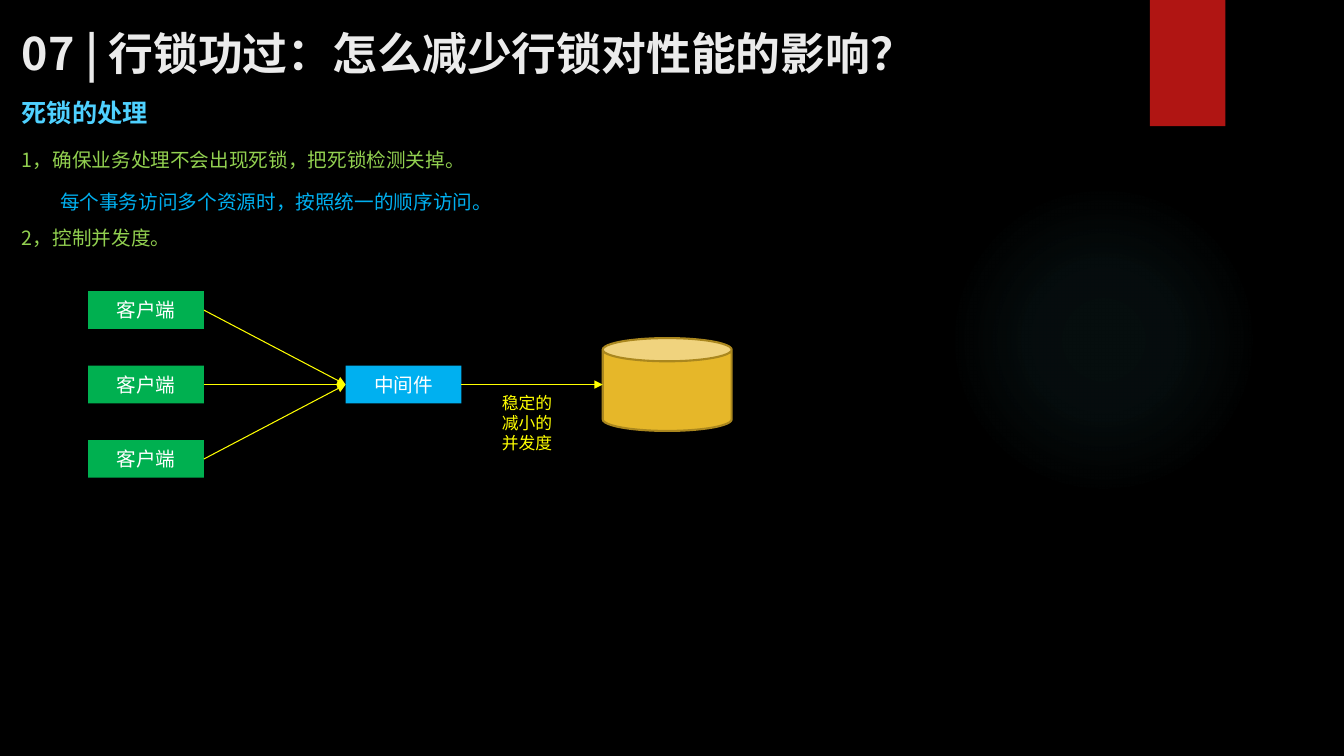
from lxml import etree
from pptx import Presentation
from pptx.dml.color import RGBColor
from pptx.enum import shapes, text
from pptx.oxml import ns, parse_xml
from pptx.util import Cm, Pt

FONT = "Noto Sans CJK SC"
COLORS = {
    "background": "000000", "glow": "50B9C1", "banner": "B01513",
    "title": "EBEBEB", "heading": "4FD1FF", "point": "92D050",
    "detail": "00B0F0", "client": "00B050", "middleware": "00B0F0",
    "database": "E6B729", "database_edge": "AA871E",
    "flow": "FFFF00", "white": "FFFFFF",
}


def rgb(name):
    return RGBColor.from_string(COLORS[name])


def place(box):
    return [Cm(v) for v in box]


def write(p, words, size, color, bold=False, leading=1.2):
    p.line_spacing = Pt(round(size * leading, 1))
    r = p.add_run()
    r.text = words
    r.font.size = Pt(size)
    r.font.name = FONT
    r.font.bold = bold
    r.font.color.rgb = rgb(color)
    ea = etree.SubElement(r.font._element, ns.qn("a:ea"))
    ea.set("typeface", FONT)


def add_block(s, kind, box, fill, words=None):
    sp = s.shapes.add_shape(kind, *place(box))
    sp.shadow.inherit = False
    sp.fill.solid()
    sp.fill.fore_color.rgb = rgb(fill)
    sp.line.fill.background()
    if words:
        tf = sp.text_frame
        tf.vertical_anchor = text.MSO_ANCHOR.MIDDLE
        p = tf.paragraphs[0]
        p.alignment = text.PP_ALIGN.CENTER
        write(p, words, 14, "white")
    return sp


def add_arrow(s, start, end):
    line = s.shapes.add_connector(shapes.MSO_CONNECTOR.STRAIGHT, *place(start + end))
    line.line.color.rgb = rgb("flow")
    line.line.width = Pt(0.75)
    tail = etree.SubElement(line.line._get_or_add_ln(), ns.qn("a:tailEnd"))
    tail.set("type", "triangle")
    etree.SubElement(line._element.spPr, ns.qn("a:effectLst"))


def add_glow(s, box):
    sp = add_block(s, shapes.MSO_SHAPE.OVAL, box, "glow")
    stops = "".join(
        f'<a:gs pos="{pos}000"><a:srgbClr val="{COLORS["glow"]}">'
        f'<a:alpha val="{alpha}000"/></a:srgbClr></a:gs>'
        for pos, alpha in ((0, 7), (36, 6), (69, 0))
    )
    gradient = parse_xml(
        f'<a:gradFill {ns.nsdecls("a")}><a:gsLst>{stops}</a:gsLst><a:path path="circle">'
        '<a:fillToRect l="50000" t="50000" r="50000" b="50000"/></a:path></a:gradFill>'
    )
    spPr = sp._element.spPr
    spPr.replace(spPr.find(ns.qn("a:solidFill")), gradient)


def fill_placeholder(sp, box, anchor):
    sp.left, sp.top, sp.width, sp.height = place(box)
    tf = sp.text_frame
    tf.word_wrap = True
    tf.auto_size = text.MSO_AUTO_SIZE.NONE
    tf.vertical_anchor = anchor
    return tf


def add_title(s, box):
    tf = fill_placeholder(s.shapes.title, box, text.MSO_ANCHOR.MIDDLE)
    p = tf.paragraphs[0]
    p.alignment = text.PP_ALIGN.LEFT
    write(p, "07 | 行锁功过：怎么减少行锁对性能的影响？", 32, "title", True, 1.3)


def add_heading(s, box):
    tf = s.shapes.add_textbox(*place(box)).text_frame
    tf.word_wrap = True
    write(tf.paragraphs[0], "死锁的处理", 18, "heading", True)


def add_points(s, box):
    tf = fill_placeholder(s.placeholders[1], box, text.MSO_ANCHOR.TOP)
    points = (
        ("1，确保业务处理不会出现死锁，把死锁检测关掉。", "point", 0, 0),
        ("每个事务访问多个资源时，按照统一的顺序访问。", "detail", 0.96, 13),
        ("2，控制并发度。", "point", 0, 9),
    )
    for i, (words, color, indent, before) in enumerate(points):
        p = tf.add_paragraph() if i else tf.paragraphs[0]
        pPr = p._p.get_or_add_pPr()
        pPr.set("marL", str(Cm(indent)))
        pPr.set("indent", "0")
        etree.SubElement(pPr, ns.qn("a:buNone"))
        p.space_before = Pt(before)
        write(p, words, 14, color)


def add_flow(s, box):
    left, top, width, height = box
    node_w, node_h, db_w, db_h = 2.92, 0.95, 3.25, 2.34
    pitch = (height - node_h) / 2
    middle = top + height / 2
    hub_left = left + 6.49
    db_left = left + width - db_w
    for row in range(3):
        y = top + row * pitch
        add_block(s, shapes.MSO_SHAPE.RECTANGLE, (left, y, node_w, node_h), "client", "客户端")
        add_arrow(s, (left + node_w, y + node_h / 2), (hub_left, middle))
    add_block(s, shapes.MSO_SHAPE.RECTANGLE,
              (hub_left, middle - node_h / 2, node_w, node_h), "middleware", "中间件")
    db = add_block(s, shapes.MSO_SHAPE.CAN,
                   (db_left, middle - db_h / 2, db_w, db_h), "database")
    db.line.color.rgb = rgb("database_edge")
    db.line.width = Pt(1.5)
    add_arrow(s, (hub_left + node_w, middle), (db_left, middle))

    label = s.shapes.add_textbox(*place((left + 10.18, middle + 0.08, 2.06, 1.8)))
    tf = label.text_frame
    tf.word_wrap = True
    for i, words in enumerate(("稳定的", "减小的", "并发度")):
        p = tf.add_paragraph() if i else tf.paragraphs[0]
        write(p, words, 12, "flow")


def build_slide(prs):
    s = prs.slides.add_slide(prs.slide_layouts[1])
    s.background.fill.solid()
    s.background.fill.fore_color.rgb = rgb("background")
    add_glow(s, (23.9, 4.65, 7.82, 7.82))
    add_block(s, shapes.MSO_SHAPE.RECTANGLE, (28.98, 0, 1.9, 3.18), "banner")
    add_title(s, (0.3, 0.43, 30.96, 1.68))
    add_heading(s, (0.3, 2.34, 3.71, 1.02))
    add_points(s, (0.3, 3.61, 24.66, 2.82))
    add_flow(s, (2.22, 7.34, 16.22, 4.7))


def main():
    prs = Presentation()
    prs.slide_width, prs.slide_height = Cm(33.87), Cm(19.05)
    build_slide(prs)
    prs.save("out.pptx")


if __name__ == "__main__":
    main()
